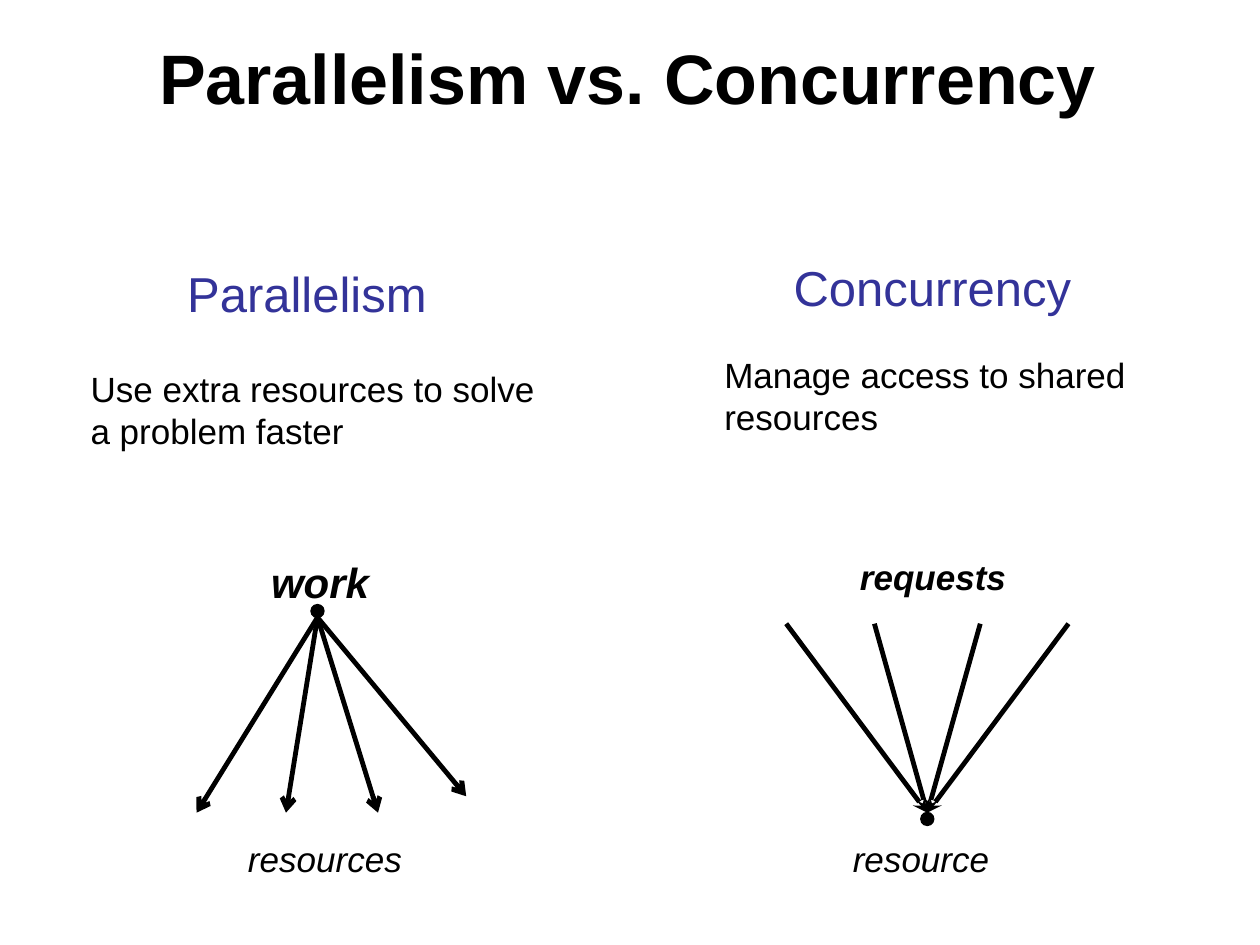
from pptx import Presentation
from pptx.dml.color import RGBColor
from pptx.enum import shapes, text
from pptx.oxml.ns import qn
from pptx.util import Inches, Pt
from lxml import etree

BLACK = RGBColor(0x00, 0x00, 0x00)
BLUE = RGBColor(0x33, 0x33, 0x99)
FONT = "Arial"
CENTER = text.PP_ALIGN.CENTER
LEFT = text.PP_ALIGN.LEFT


def add_run(p, words, size, color=BLACK, bold=False, italic=False):
    r = p.add_run()
    r.text = words
    f = r.font
    f.name, f.size, f.bold, f.italic = FONT, Pt(size), bold, italic
    f.color.rgb = color


def add_title(s, words):
    sp = s.shapes.title
    sp.left, sp.top = Inches(0.19), Inches(0.11)
    sp.width, sp.height = Inches(9.58), Inches(0.99)
    tf = sp.text_frame
    tf.vertical_anchor = text.MSO_ANCHOR.MIDDLE
    p = tf.paragraphs[0]
    p.alignment = CENTER
    add_run(p, words, 40, bold=True)


def add_label(s, box, words, size=20, align=LEFT, wrap=True, top_inset=0.05, **style):
    sp = s.shapes.add_textbox(*map(Inches, box))
    tf = sp.text_frame
    tf.word_wrap = wrap
    tf.margin_top = Inches(top_inset)
    p = tf.paragraphs[0]
    p.alignment = align
    add_run(p, words, size, **style)


def add_heading(s, box, words):
    add_label(s, box, words, 28, CENTER, top_inset=0.1, color=BLUE)


def add_arrow(s, start, end, arrowhead):
    ln = s.shapes.add_connector(shapes.MSO_CONNECTOR.STRAIGHT,
                                *map(Inches, (*start, *end)))
    ln.line.color.rgb = BLACK
    ln.line.width = Pt(2.75)
    etree.SubElement(ln.line._get_or_add_ln(), qn("a:tailEnd"), type=arrowhead)
    etree.SubElement(ln._element.spPr, qn("a:effectLst"))


def add_dot(s, left, top):
    sp = s.shapes.add_shape(shapes.MSO_SHAPE.ROUNDED_RECTANGLE,
                            *map(Inches, (left, top, 0.1, 0.1)))
    sp.adjustments[0] = 0.5
    sp.shadow.inherit = False
    sp.fill.solid()
    sp.fill.fore_color.rgb = BLACK
    sp.line.color.rgb = BLACK
    sp.line.width = Pt(1)


def add_parallelism(s):
    add_heading(s, (0.81, 1.99, 3.25, 0.53), "Parallelism")
    add_label(s, (0.62, 2.87, 3.82, 0.77),
              "Use extra resources to solve a problem faster")
    # Work fans out to the resources
    for end in ((1.56, 6.45), (2.27, 6.45), (3, 6.45), (3.7, 6.32)):
        add_arrow(s, (2.52, 4.9), end, "arrow")
    add_dot(s, 2.47, 4.8)
    add_label(s, (1.9, 4.37, 1.28, 0.5), "work", 24, CENTER, bold=True, italic=True)
    add_label(s, (1.87, 6.6, 1.43, 0.44), "resources", wrap=False, italic=True)


def add_concurrency(s):
    add_heading(s, (5.15, 1.94, 4.5, 0.71), "Concurrency")
    add_label(s, (5.65, 2.76, 4.12, 0.77), "Manage access to shared resources")
    # Requests converge on the resource
    for x in (8.48, 7.78, 6.94, 6.24):
        add_arrow(s, (x, 4.95), (7.36, 6.45), "stealth")
    add_dot(s, 7.31, 6.45)
    add_label(s, (6.04, 4.36, 2.73, 0.44), "requests", align=CENTER,
              bold=True, italic=True)
    add_label(s, (6.67, 6.6, 1.29, 0.44), "resource", wrap=False, italic=True)


def main():
    prs = Presentation()
    prs.slide_width, prs.slide_height = Inches(10), Inches(7.5)
    s = prs.slides.add_slide(prs.slide_layouts[5])  # Title Only
    add_title(s, "Parallelism vs. Concurrency")
    add_parallelism(s)
    add_concurrency(s)
    prs.save("out.pptx")


if __name__ == "__main__":
    main()
